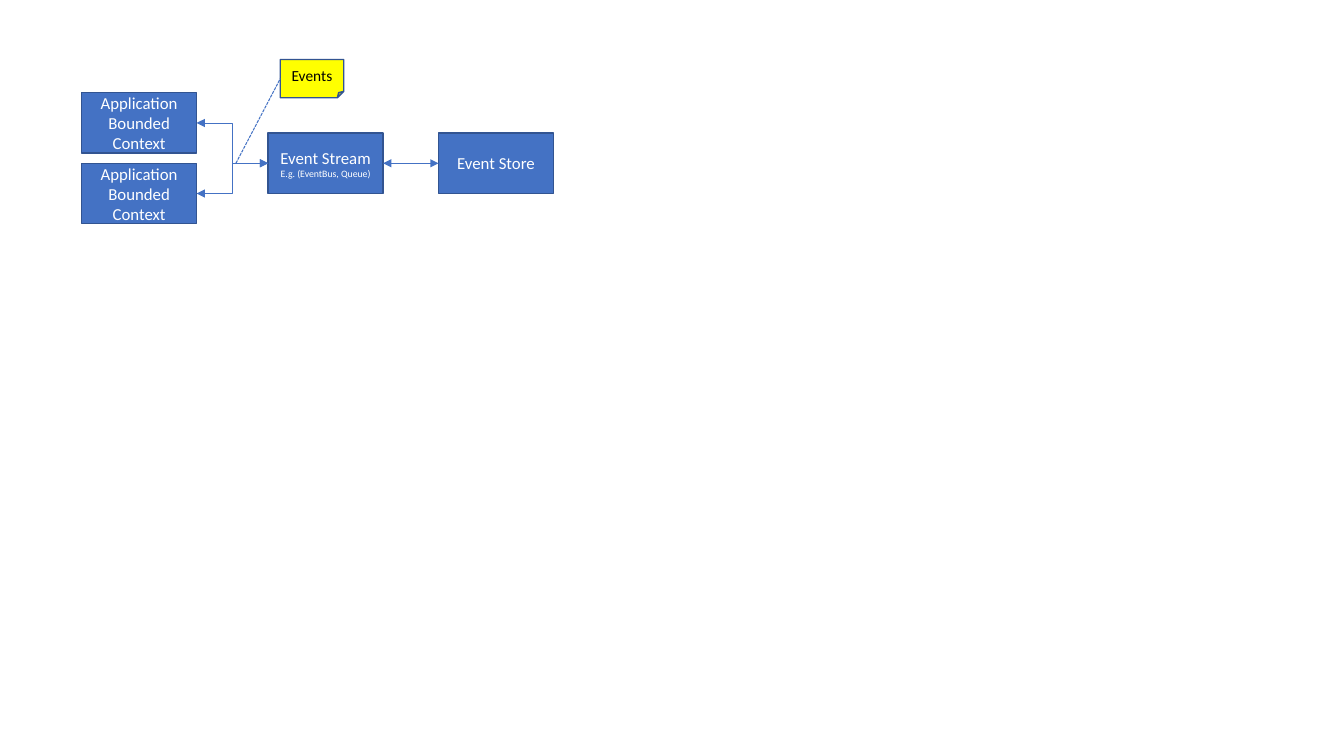
from lxml import etree
from pptx import Presentation
from pptx import util as u
from pptx.dml.color import RGBColor
from pptx.enum import dml, shapes, text
from pptx.oxml.ns import qn

BLUE, EDGE, WHITE = "4472C4", "325491", "FFFFFF"
LEFT, RIGHT = 1, 3  # connection sites of a rectangle
WIDE, HIGH = 1.14, 0.6


def color(code):
    return RGBColor.from_string(code)


def write(frame, lines, ink=WHITE, font="Calibri"):
    """Fill a text frame with centred (words, size) lines."""
    frame.word_wrap = True
    frame.vertical_anchor = text.MSO_ANCHOR.MIDDLE
    for i, (words, size) in enumerate(lines):
        para = frame.add_paragraph() if i else frame.paragraphs[0]
        para.alignment = text.PP_ALIGN.CENTER
        run = para.add_run()
        run.text = words
        run.font.name = font
        run.font.size = u.Pt(size)
        run.font.color.rgb = color(ink)


class Board:
    def __init__(self, slide):
        self.items = slide.shapes

    def box(self, x, y, *lines, w=WIDE, h=HIGH, fill=BLUE, ink=WHITE,
            kind=shapes.MSO_SHAPE.RECTANGLE):
        shape = self.items.add_shape(kind, *map(u.Inches, (x, y, w, h)))
        shape.shadow.inherit = False
        shape.fill.solid()
        shape.fill.fore_color.rgb = color(fill)
        shape.line.color.rgb = color(EDGE)
        shape.line.width = u.Pt(1)
        write(shape.text_frame, lines, ink=ink)
        return shape

    def line(self, kind, width):
        wire = self.items.add_connector(kind, 0, 0, 0, 0)
        wire.line.color.rgb = color(BLUE)
        wire.line.width = u.Pt(width)
        etree.SubElement(wire._element.spPr, qn("a:effectLst"))
        return wire

    def link(self, start, end):
        """Join two boxes with a double-headed elbow arrow."""
        wire = self.line(shapes.MSO_CONNECTOR.ELBOW, 0.5)
        wire.begin_connect(start, RIGHT)
        wire.end_connect(end, LEFT)
        for tip in ("a:headEnd", "a:tailEnd"):
            etree.SubElement(wire.line._get_or_add_ln(), qn(tip), type="triangle")

    def lead(self, x, y, note):
        """Draw a dashed line from a point to the left side of a note."""
        wire = self.line(shapes.MSO_CONNECTOR.STRAIGHT, 0.75)
        wire.begin_x, wire.begin_y = u.Inches(x), u.Inches(y)
        wire.end_connect(note, LEFT)
        wire.line.dash_style = dml.MSO_LINE.SQUARE_DOT


def main():
    deck = Presentation()
    deck.slide_width, deck.slide_height = u.Inches(13.33), u.Inches(7.5)
    board = Board(deck.slides.add_slide(deck.slide_layouts[6]))

    apps = [board.box(0.81, y, ("Application Bounded Context", 12))
            for y in (0.92, 1.62)]
    stream = board.box(2.66, 1.32, ("Event Stream", 12),
                       ("E.g. (EventBus, Queue)", 7))
    for app in reversed(apps):
        board.link(app, stream)

    note = board.box(2.78, 0.59, ("Events", 11), w=0.63, h=0.38, fill="FFFF00",
                     ink="000000", kind=shapes.MSO_SHAPE.FOLDED_CORNER)
    board.lead(2.34, 1.62, note)

    store = board.box(4.35, 1.32, ("Event Store", 12))
    board.link(stream, store)
    deck.save("out.pptx")


if __name__ == "__main__":
    main()
